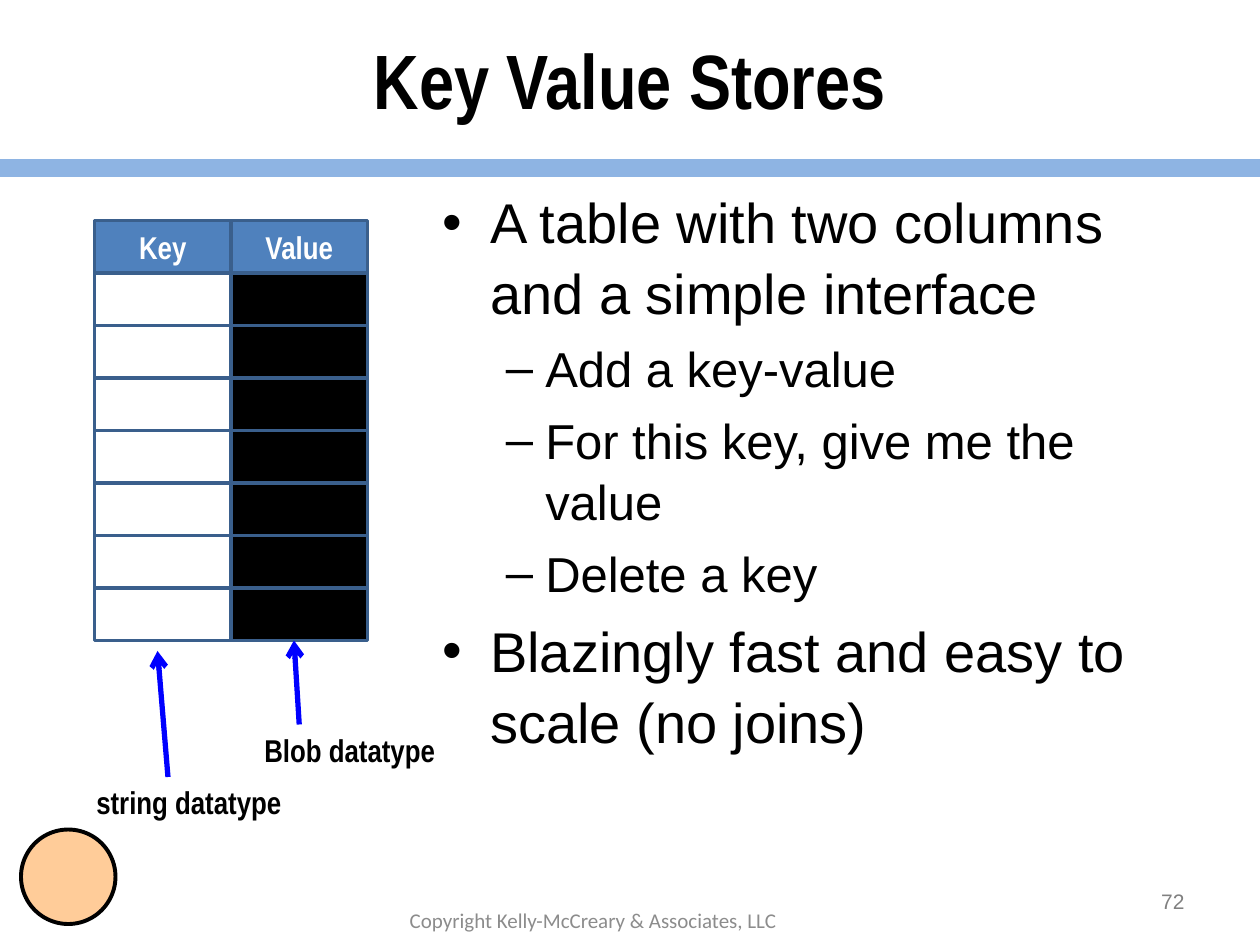
from pptx import Presentation
from pptx import util as u
from pptx.dml.color import RGBColor
from pptx.enum import shapes, text
from pptx.oxml import ns
from lxml import etree

Pt = u.Pt
BLACK = RGBColor(0x00, 0x00, 0x00)
WHITE = RGBColor(0xFF, 0xFF, 0xFF)
BAND = RGBColor(0x8E, 0xB4, 0xE3)
HEADER = RGBColor(0x4F, 0x81, 0xBD)
BORDER = RGBColor(0x3A, 0x5F, 0x8C)
ARROW = RGBColor(0x00, 0x00, 0xFF)
EMBLEM = RGBColor(0xFF, 0xCC, 0x99)
FOOTER = RGBColor(0x8C, 0x8C, 0x8C)
NUMBER = RGBColor(0x80, 0x80, 0x80)

NARROW, SANS, SMALL = "Arial Narrow", "Arial", "Calibri"
ALIGN, ANCHOR = text.PP_ALIGN, text.MSO_ANCHOR


class Painter:
    """Holds the text style and the page being built."""

    # Bullet mark, left margin, hanging indent and size for each level
    LEVELS = (("•", 27, -27, 32), ("–", 58.5, -22.5, 28))

    def __init__(self, page):
        self.page = page

    def span(self, para, words, size, color=BLACK, font=NARROW, bold=False):
        run = para.add_run()
        run.text = words
        run.font.size = Pt(size)
        run.font.name = font
        run.font.bold = bold
        run.font.color.rgb = color

    def box(self, left, top, width, height, anchor=ANCHOR.TOP, wrap=True):
        frame = self.page.shapes.add_textbox(
            Pt(left), Pt(top), Pt(width), Pt(height)).text_frame
        frame.word_wrap = wrap
        frame.vertical_anchor = anchor
        return frame

    def line_of_text(self, area, words, size, align=ALIGN.LEFT,
                     anchor=ANCHOR.MIDDLE, wrap=True, **style):
        para = self.box(*area, anchor, wrap).paragraphs[0]
        para.alignment = align
        self.span(para, words, size, **style)

    def label(self, area, words):
        self.line_of_text(area, words, 18, anchor=ANCHOR.TOP, wrap=False, bold=True)

    def bullets(self, area, items):
        frame = self.box(*area)
        for index, (level, words) in enumerate(items):
            para = frame.add_paragraph() if index else frame.paragraphs[0]
            mark, margin, indent, size = self.LEVELS[level]
            para.level = level
            para.line_spacing = 1.05
            para.space_before = Pt(0.2 * size if index else 0)
            props = para._p.get_or_add_pPr()
            props.set("marL", str(Pt(margin)))
            props.set("indent", str(Pt(indent)))
            etree.SubElement(props, ns.qn("a:buFont")).set("typeface", SANS)
            etree.SubElement(props, ns.qn("a:buChar")).set("char", mark)
            self.span(para, words, size, font=SANS)

    def shape(self, kind, area, fill, border, weight, words=""):
        item = self.page.shapes.add_shape(kind, *map(Pt, area))
        item.shadow.inherit = False
        item.fill.solid()
        item.fill.fore_color.rgb = fill
        item.line.color.rgb = border
        item.line.width = Pt(weight)
        if words:
            item.text_frame.vertical_anchor = ANCHOR.MIDDLE
            para = item.text_frame.paragraphs[0]
            para.alignment = ALIGN.CENTER
            self.span(para, words, 18, WHITE, bold=True)

    def line(self, start, end, color, weight, arrow=False):
        item = self.page.shapes.add_connector(
            shapes.MSO_CONNECTOR.STRAIGHT, *map(Pt, start + end))
        item.line.color.rgb = color
        item.line.width = Pt(weight)
        if arrow:
            outline = item.line._get_or_add_ln()
            etree.SubElement(outline, ns.qn("a:tailEnd")).set("type", "arrow")
        etree.SubElement(item._element.spPr, ns.qn("a:effectLst"))


def main():
    deck = Presentation()
    deck.slide_width, deck.slide_height = Pt(720), Pt(540)
    painter = Painter(deck.slides.add_slide(deck.slide_layouts[6]))

    # Band and emblem
    painter.line((0, 96), (720, 96), BAND, 10)
    painter.shape(shapes.MSO_SHAPE.OVAL, (12, 474, 54, 54), EMBLEM, BLACK, 2.25)

    # Title
    painter.line_of_text((36, 0, 648, 90), "Key Value Stores", 44,
                         ALIGN.CENTER, bold=True)

    # Main points
    painter.bullets((246, 102, 414, 380), [
        (0, "A table with two columns and a simple interface"),
        (1, "Add a key-value"),
        (1, "For this key, give me the value"),
        (1, "Delete a key"),
        (0, "Blazingly fast and easy to scale (no joins)"),
    ])

    # Footer
    painter.line_of_text((174, 511, 330, 29),
                         "Copyright Kelly-McCreary & Associates, LLC", 12,
                         ALIGN.CENTER, color=FOOTER, font=SMALL)
    painter.line_of_text((642, 500.5, 42, 29), "72", 12,
                         ALIGN.RIGHT, color=NUMBER, font=SANS)

    # Key-value grid: a header row above seven rows of cells
    left, top, width, height = 54, 126, 78, 30
    columns = (("Key", WHITE), ("Value", BLACK))
    for row in range(8):
        for column, (heading, fill) in enumerate(columns):
            area = (left + column * width, top + row * height, width, height)
            painter.shape(shapes.MSO_SHAPE.RECTANGLE, area,
                          fill if row else HEADER, BORDER, 2,
                          "" if row else heading)

    # Datatype labels and their arrows
    painter.label((144, 414, 113, 29), "Blob datatype")
    painter.label((48, 444, 122, 29), "string datatype")
    painter.line((96, 444), (90, 372), ARROW, 3, arrow=True)
    painter.line((171, 414), (168, 366), ARROW, 3, arrow=True)

    deck.save("out.pptx")


if __name__ == "__main__":
    main()
